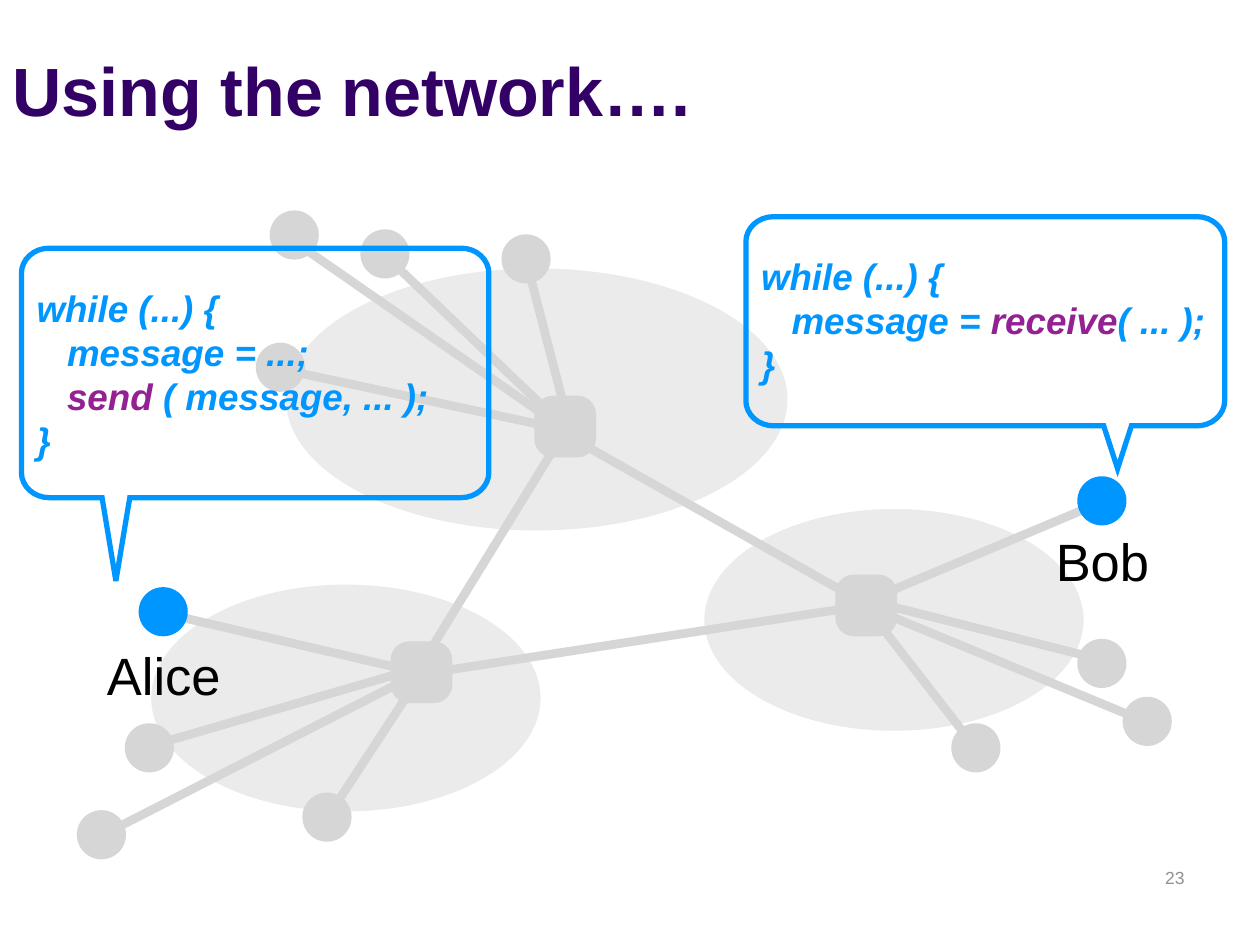
from dataclasses import dataclass
from math import cos, pi, sin

from lxml import etree
from pptx import Presentation
from pptx.dml.color import RGBColor
from pptx.enum.shapes import MSO_CONNECTOR, MSO_SHAPE
from pptx.enum.text import MSO_ANCHOR, PP_ALIGN
from pptx.oxml.ns import qn
from pptx.util import Emu, Pt

OVAL = MSO_SHAPE.OVAL
ROUNDED = MSO_SHAPE.ROUNDED_RECTANGLE
STRAIGHT = MSO_CONNECTOR.STRAIGHT
TOP, MIDDLE, BOTTOM = MSO_ANCHOR.TOP, MSO_ANCHOR.MIDDLE, MSO_ANCHOR.BOTTOM
LEFT, CENTER, RIGHT = PP_ALIGN.LEFT, PP_ALIGN.CENTER, PP_ALIGN.RIGHT

EMU_PER_PX = 9144
HOST_SIZE = 39
ROUTER_SIZE = 49
TAIL_HALF = 11


@dataclass(frozen=True)
class Theme:
    font: str = "Arial"
    title: str = "330066"
    number: str = "919191"
    region: str = "EBEBEB"
    network: str = "D6D6D6"
    accent: str = "0096FF"
    call: str = "942193"
    label: str = "000000"
    title_size: int = 39
    label_size: int = 30
    code_size: int = 21
    number_size: int = 10
    link_width: int = 5
    bubble_width: int = 3


def px(value):
    return Emu(round(value * EMU_PER_PX))


def rgb(value):
    return RGBColor.from_string(value)


class NetworkSlide:
    def __init__(self, deck, theme):
        self.theme = theme
        self.slide = deck.slides.add_slide(deck.slide_layouts[6])

    def solid(self, kind, left, top, width, height, color):
        shape = self.slide.shapes.add_shape(
            kind, px(left), px(top), px(width), px(height))
        shape.shadow.inherit = False
        shape.fill.solid()
        shape.fill.fore_color.rgb = rgb(color)
        shape.line.fill.background()
        return shape

    def region(self, left, top, width, height):
        self.solid(OVAL, left, top, width, height, self.theme.region)

    def host(self, left, top, color):
        self.solid(OVAL, left, top, HOST_SIZE, HOST_SIZE, color)

    def router(self, left, top):
        router = self.solid(ROUNDED, left, top, ROUTER_SIZE, ROUTER_SIZE,
                            self.theme.network)
        router.adjustments[0] = 0.3

    def link(self, start, end):
        link = self.slide.shapes.add_connector(
            STRAIGHT, *(px(value) for value in (*start, *end)))
        link.line.color.rgb = rgb(self.theme.network)
        link.line.width = Pt(self.theme.link_width)
        etree.SubElement(link._element.spPr, qn("a:effectLst"))

    def bubble(self, left, top, width, height, tip, radius_x=22, radius_y=20):
        right, bottom = left + width, top + height
        centers = [(right - radius_x, top + radius_y),
                   (right - radius_x, bottom - radius_y),
                   (left + radius_x, bottom - radius_y),
                   (left + radius_x, top + radius_y)]
        outline = []
        for corner, (center_x, center_y) in enumerate(centers):
            if corner == 2:
                outline += [(tip[0] + TAIL_HALF, bottom), tip,
                            (tip[0] - TAIL_HALF, bottom)]
            for step in range(9):
                angle = (corner - 1 + step / 8) * pi / 2
                outline.append((center_x + radius_x * cos(angle),
                                center_y + radius_y * sin(angle)))
        points = [(px(x), px(y)) for x, y in outline]
        builder = self.slide.shapes.build_freeform(*points[0])
        builder.add_line_segments(points[1:], close=True)
        bubble = builder.convert_to_shape()
        bubble.shadow.inherit = False
        bubble.fill.background()
        bubble.line.color.rgb = rgb(self.theme.accent)
        bubble.line.width = Pt(self.theme.bubble_width)
        etree.SubElement(bubble.line._get_or_add_ln(), qn("a:miter"), lim="400000")

    def text(self, box, lines, size, anchor=MIDDLE, align=LEFT,
             inset=(4, 4), bold=False, italic=False):
        frame = self.slide.shapes.add_textbox(*map(px, box)).text_frame
        frame.word_wrap = True
        frame.vertical_anchor = anchor
        frame.margin_left = frame.margin_right = px(inset[0])
        frame.margin_top = frame.margin_bottom = px(inset[1])
        for index, line in enumerate(lines):
            paragraph = frame.add_paragraph() if index else frame.paragraphs[0]
            paragraph.alignment = align
            for words, color in line:
                run = paragraph.add_run()
                run.text = words
                run.font.name = self.theme.font
                run.font.size = Pt(size)
                run.font.bold = bold
                run.font.italic = italic
                run.font.color.rgb = rgb(color)

    def title(self, words):
        self.text((0, 13, 1000, 95), [[(words, self.theme.title)]],
                  self.theme.title_size, BOTTOM, inset=(10, 5), bold=True)

    def number(self, words):
        self.text((717, 683, 233, 50), [[(words, self.theme.number)]],
                  self.theme.number_size, TOP, RIGHT, inset=(10, 5))

    def label(self, left, top, words):
        self.text((left, top, 228, 59), [[(words, self.theme.label)]],
                  self.theme.label_size, align=CENTER)

    def code(self, box, lines):
        self.text(box, lines, self.theme.code_size, bold=True, italic=True)


def main():
    deck = Presentation()
    deck.slide_width, deck.slide_height = px(1000), px(750)
    theme = Theme()
    page = NetworkSlide(deck, theme)

    for region in [(559, 404, 301, 176), (227, 213, 398, 208), (120, 464, 309, 180)]:
        page.region(*region)
    page.title("Using the network….")
    page.number("23")

    links = [
        ((419, 212), (453, 343)), ((223, 293), (443, 340)),
        ((234, 192), (440, 335)), ((306, 203), (443, 334)),
        ((127, 486), (329, 533)), ((116, 593), (329, 531)),
        ((77, 665), (327, 537)), ((263, 644), (333, 537)),
        ((873, 399), (683, 479)), ((872, 523), (690, 477)),
        ((912, 574), (685, 480)), ((773, 592), (690, 485)),
        ((442, 341), (688, 480)), ((449, 341), (334, 528)),
        ((690, 480), (335, 535)),
    ]
    for start, end in links:
        page.link(start, end)

    idle_hosts = [(203, 272), (214, 167), (286, 182), (398, 186),
                  (99, 574), (61, 643), (240, 629),
                  (755, 574), (855, 507), (891, 553)]
    for left, top in idle_hosts:
        page.host(left, top, theme.network)
    for left, top in [(110, 466), (855, 378)]:
        page.host(left, top, theme.accent)
    for left, top in [(424, 314), (310, 509), (663, 456)]:
        page.router(left, top)

    loop_start = [("while (...) {", theme.accent)]
    loop_end = [("}", theme.accent)]
    page.bubble(17, 197, 371, 198, tip=(92, 461))
    page.code((25, 222, 353, 149), [
        loop_start,
        [("   message = ...;", theme.accent)],
        [("   send ", theme.call), ("( message, ... );", theme.accent)],
        loop_end,
    ])
    page.bubble(592, 172, 380, 166, tip=(887, 372))
    page.code((600, 197, 367, 114), [
        loop_start,
        [("   message = ", theme.accent), ("receive", theme.call),
         ("( ... );", theme.accent)],
        loop_end,
    ])
    page.label(16, 506, "Alice")
    page.label(761, 415, "Bob")

    deck.save("out.pptx")


if __name__ == "__main__":
    main()
